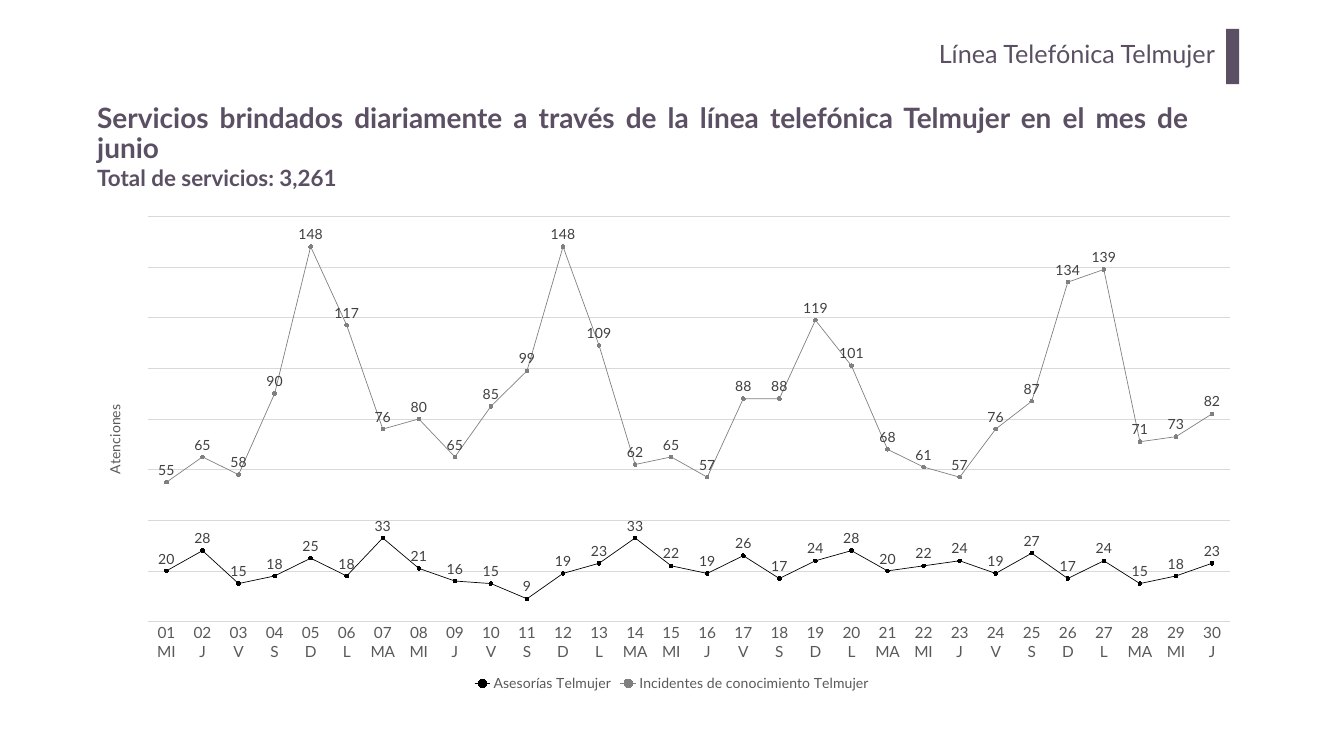
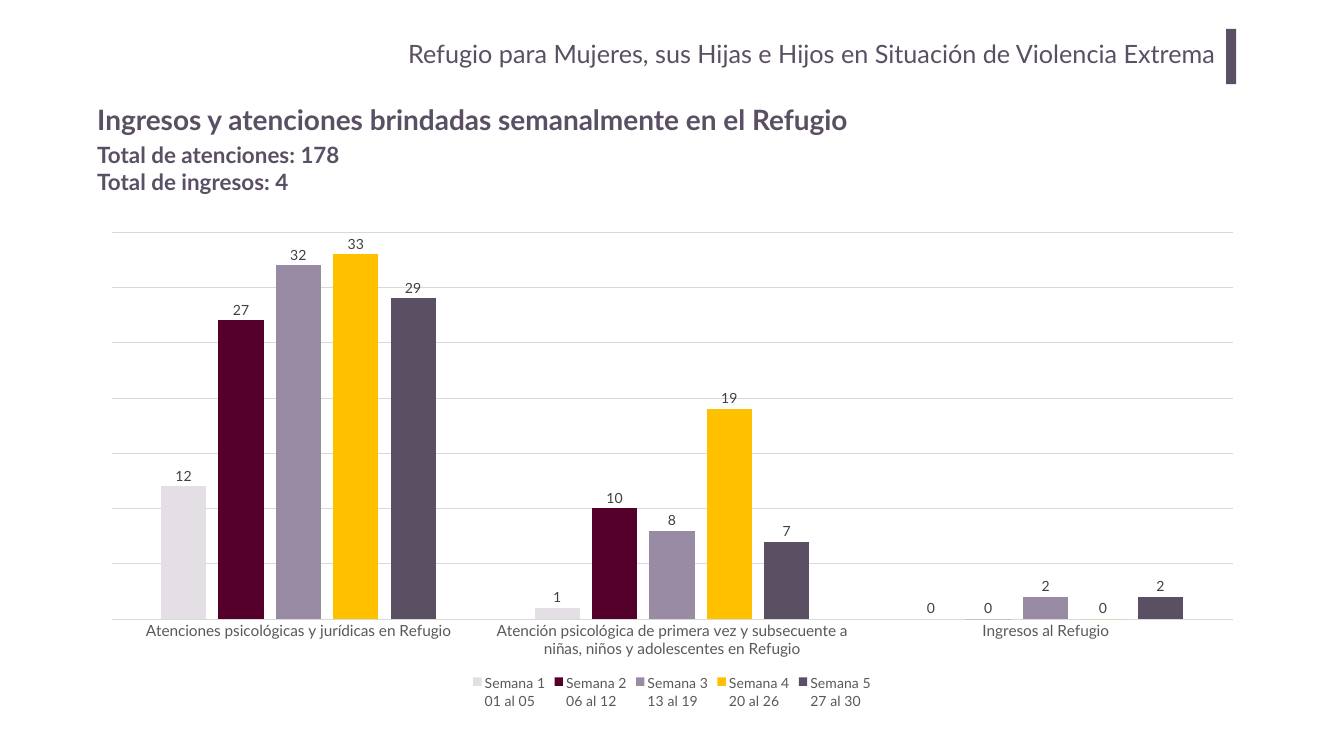
from collections import namedtuple

from pptx import Presentation
from pptx.chart.data import CategoryChartData
from pptx.dml.color import RGBColor
from pptx.enum.chart import (XL_CHART_TYPE, XL_LABEL_POSITION, XL_LEGEND_POSITION,
                             XL_MARKER_STYLE, XL_TICK_MARK)
from pptx.enum.shapes import MSO_SHAPE
from pptx.enum.text import MSO_ANCHOR, PP_ALIGN
from pptx.oxml import parse_xml
from pptx.oxml.ns import nsdecls, qn
from pptx.util import Cm, Pt

Box = namedtuple("Box", "left top width height")

FONT = "Lato"
PURPLE = "5B4F63"
AXIS_TEXT = "595959"
LABEL_TEXT = "404040"
GRID = "D9D9D9"
HEADER_BOX = Box(10.19, 1.45, 51.61, 2.79)
WEEKDAYS = ["MI", "J", "V", "S", "D", "L", "MA"]

ADVICE = [20, 28, 15, 18, 25, 18, 33, 21, 16, 15, 9, 19, 23, 33, 22,
          19, 26, 17, 24, 28, 20, 22, 24, 19, 27, 17, 24, 15, 18, 23]
INCIDENTS = [55, 65, 58, 90, 148, 117, 76, 80, 65, 85, 99, 148, 109, 62, 65,
             57, 88, 88, 119, 101, 68, 61, 57, 76, 87, 134, 139, 71, 73, 82]
DAILY_SERIES = [("Asesorías Telmujer", ADVICE, "000000"),
                ("Incidentes de conocimiento Telmujer", INCIDENTS, "808080")]

REFUGE_CATEGORIES = [
    "Atenciones psicológicas y jurídicas en Refugio",
    "Atención psicológica de primera vez y subsecuente a niñas, niños y adolescentes en Refugio",
    "Ingresos al Refugio",
]
WEEKLY_SERIES = [
    ("Semana 1\n01 al 05", [12, 1, 0], "E3DFE5"),
    ("Semana 2\n06 al 12", [27, 10, 0], "54002A"),
    ("Semana 3\n13 al 19", [32, 8, 2], "998BA3"),
    ("Semana 4\n20 al 26", [33, 19, 0], "FFC000"),
    ("Semana 5\n27 al 30", [29, 7, 2], PURPLE),
]


def color(hex_value):
    return RGBColor.from_string(hex_value)


def lengths(box):
    return [Cm(value) for value in box]


def style_font(font, size, hex_value, bold=False):
    font.name = FONT
    font.size = Pt(size)
    font.bold = bold
    font.color.rgb = color(hex_value)


def style_line(line, hex_value, width):
    line.color.rgb = color(hex_value)
    line.width = Pt(width)


def add_text(slide, box, lines, size, bold=False, align=PP_ALIGN.LEFT):
    frame = slide.shapes.add_textbox(*lengths(box)).text_frame
    frame.word_wrap = True
    frame.text = "\n".join(lines)
    for paragraph in frame.paragraphs:
        paragraph.alignment = align
        style_font(paragraph.font, size, PURPLE, bold)
    return frame


def add_header(slide, box, text, band_width):
    """Right-aligned section name closed by a vertical band."""
    title_box = Box(box.left, box.top + 0.25, box.width - 0.05, 2.58)
    frame = add_text(slide, title_box, [text], 36, align=PP_ALIGN.RIGHT)
    frame.margin_left = frame.margin_right = Cm(0.51)
    frame.margin_top = frame.margin_bottom = Cm(0.25)
    band = slide.shapes.add_shape(
        MSO_SHAPE.RECTANGLE,
        *lengths(Box(box.left + box.width, box.top, band_width, box.height)))
    band.shadow.inherit = False
    band.fill.solid()
    band.fill.fore_color.rgb = color(PURPLE)
    band.line.fill.background()


def add_heading(slide, box, heading, totals, totals_offset):
    """Chart heading with its totals below."""
    frame = add_text(slide, box, [heading], 40, True, PP_ALIGN.JUSTIFY)
    frame.vertical_anchor = MSO_ANCHOR.MIDDLE
    frame.paragraphs[0].line_spacing = 0.9
    totals_box = Box(box.left, box.top + totals_offset, 20.62, 0.25 + 1.37 * len(totals))
    add_text(slide, totals_box, totals, 32, True)


def set_layout(parent, index, **fractions):
    """Fix a chart part at fractions of the chart's size."""
    for layout in parent.findall(qn("c:layout")):
        parent.remove(layout)
    target = '<c:layoutTarget val="inner"/>' if "w" in fractions else ""
    modes = "".join(f'<c:{key}Mode val="edge"/>' for key in "xy")
    values = "".join(f'<c:{key} val="{value}"/>' for key, value in fractions.items())
    parent.insert(index, parse_xml(
        f'<c:layout {nsdecls("c")}><c:manualLayout>{target}{modes}{values}'
        '</c:manualLayout></c:layout>'))


def add_chart(slide, box, chart_type, categories, series_rows, maximum, step,
              label_position, plot_area):
    """Chart with the shared axes, grid, legend and value labels."""
    data = CategoryChartData()
    data.categories = categories
    for name, values, _ in series_rows:
        data.add_series(name, values)
    chart = slide.shapes.add_chart(chart_type, *lengths(box), data).chart
    chart.has_title = False
    chart.font.name = "Arial"
    chart.font.size = Pt(10)
    chart.font.color.rgb = color("000000")
    set_layout(chart.element.find(".//" + qn("c:plotArea")), 0, **plot_area)

    # Axes
    category_axis, value_axis = chart.category_axis, chart.value_axis
    category_axis.major_tick_mark = XL_TICK_MARK.NONE
    category_axis.minor_tick_mark = XL_TICK_MARK.NONE
    style_font(category_axis.tick_labels.font, 22, AXIS_TEXT)
    style_line(category_axis.format.line, GRID, 0.75)
    value_axis.minimum_scale, value_axis.maximum_scale = 0, maximum
    value_axis.major_unit = step
    value_axis.visible = False
    value_axis.has_major_gridlines = True
    style_line(value_axis.major_gridlines.format.line, GRID, 0.75)

    # Legend
    chart.has_legend = True
    chart.legend.position = XL_LEGEND_POSITION.BOTTOM
    chart.legend.include_in_layout = False
    style_font(chart.legend.font, 20, AXIS_TEXT)

    # Value labels
    chart.plots[0].vary_by_categories = False
    for series in chart.plots[0].series:
        labels = series.data_labels
        labels.show_value = True
        labels.position = label_position
        style_font(labels.font, 20, LABEL_TEXT)
    return chart


def add_daily_chart(slide, box):
    days = [f"{day + 1:02}\n{WEEKDAYS[day % 7]}" for day in range(30)]
    chart = add_chart(slide, box, XL_CHART_TYPE.LINE_MARKERS, days, DAILY_SERIES,
                      160, 20, XL_LABEL_POSITION.ABOVE,
                      dict(x=0.05, y=0.02, w=0.93, h=0.83))
    for series, (_, _, hex_value) in zip(chart.plots[0].series, DAILY_SERIES):
        series.smooth = False
        style_line(series.format.line, hex_value, 1)
        marker = series.marker
        marker.style = XL_MARKER_STYLE.CIRCLE
        marker.size = 5
        marker.format.fill.solid()
        marker.format.fill.fore_color.rgb = color(hex_value)
        style_line(marker.format.line, hex_value, 0.75)

    # Rotated axis title
    title = chart.value_axis.axis_title
    title.text_frame.text = "Atenciones"
    style_font(title.text_frame.paragraphs[0].font, 20, AXIS_TEXT)
    body = title.element.find(".//" + qn("a:bodyPr"))
    body.set("rot", "-5400000")
    body.set("vert", "horz")
    set_layout(title.element, 1, x=0.01, y=0.4)


def add_weekly_chart(slide, box):
    chart = add_chart(slide, box, XL_CHART_TYPE.COLUMN_CLUSTERED, REFUGE_CATEGORIES,
                      WEEKLY_SERIES, 35, 5, XL_LABEL_POSITION.OUTSIDE_END,
                      dict(x=0.02, y=0.02, w=0.96, h=0.79))
    plot = chart.plots[0]
    plot.gap_width = 219
    plot.overlap = -27
    for series, (_, _, hex_value) in zip(plot.series, WEEKLY_SERIES):
        series.invert_if_negative = False
        series.format.fill.solid()
        series.format.fill.fore_color.rgb = color(hex_value)


def build_phone_line_slide(slide):
    add_header(slide, HEADER_BOX, "Línea Telefónica Telmujer", 0.66)
    add_heading(slide, Box(4.65, 4.93, 55.5, 3.68),
                "Servicios brindados diariamente a través de la línea telefónica "
                "Telmujer en el mes de junio",
                ["Total de servicios: 3,261"], 3.22)
    add_daily_chart(slide, Box(4.55, 10.41, 58.62, 24.61))


def build_refuge_slide(slide):
    add_header(slide, HEADER_BOX,
               "Refugio para Mujeres, sus Hijas e Hijos en Situación de Violencia Extrema",
               0.51)
    add_heading(slide, Box(4.65, 4.29, 55.5, 3.68),
                "Ingresos y atenciones brindadas semanalmente en el Refugio",
                ["Total de atenciones: 178", "Total de ingresos: 4"], 2.7)
    add_weekly_chart(slide, Box(4.45, 11.2, 58.85, 24.69))


def main():
    presentation = Presentation()
    presentation.slide_width = Cm(67.74)
    presentation.slide_height = Cm(38.1)
    blank = presentation.slide_layouts[6]
    for build in (build_phone_line_slide, build_refuge_slide):
        build(presentation.slides.add_slide(blank))
    presentation.save("out.pptx")


if __name__ == "__main__":
    main()
